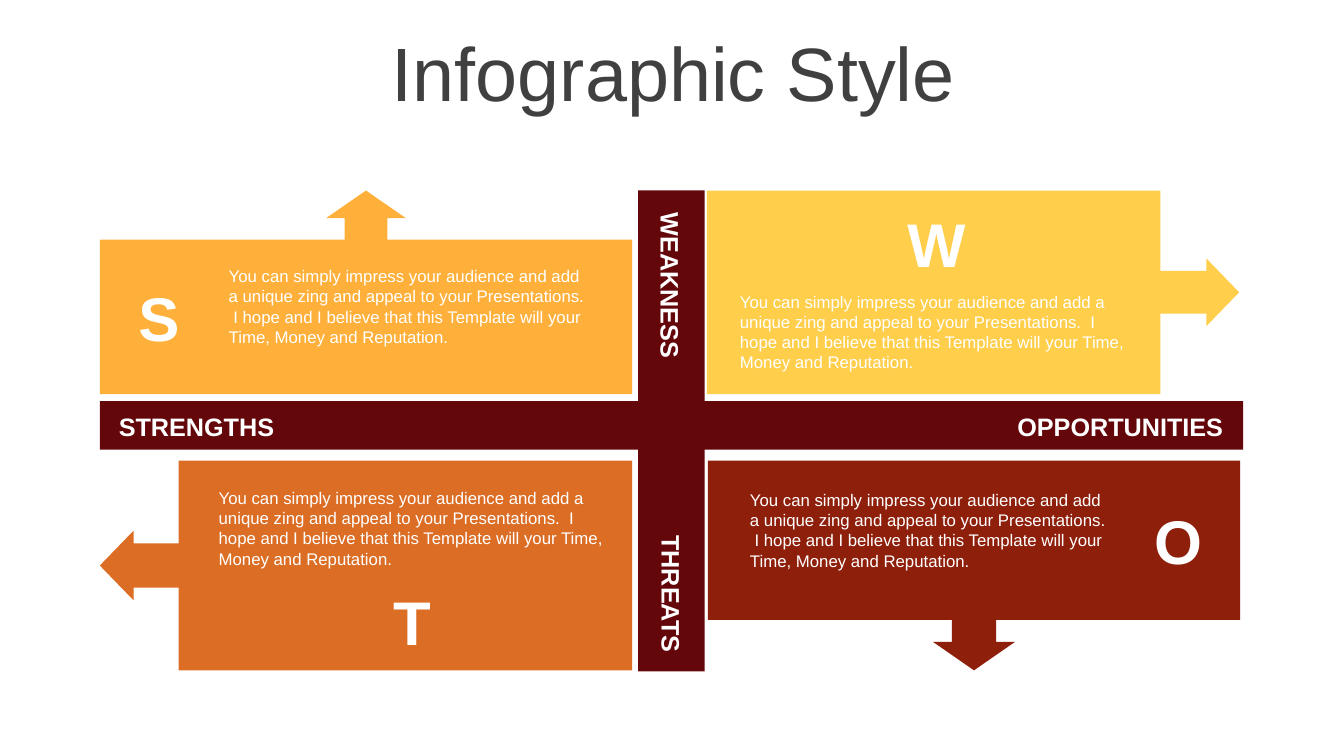
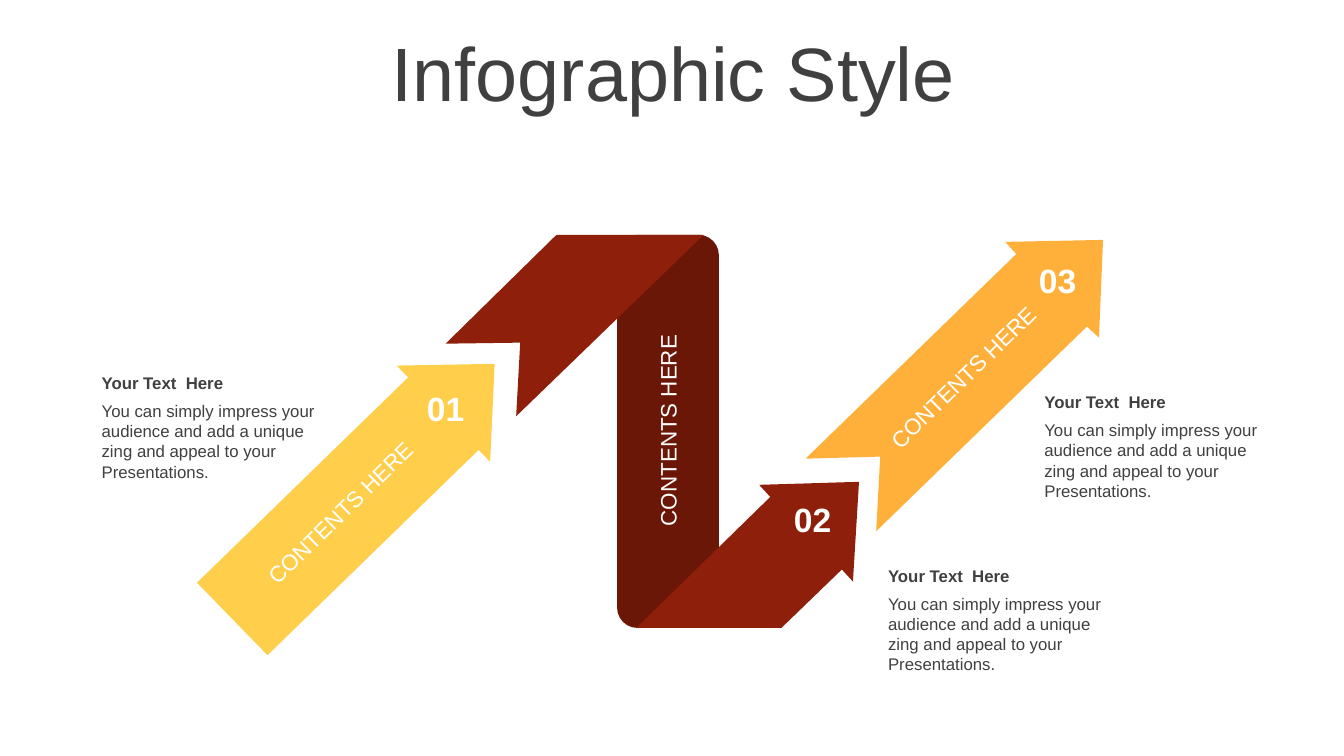
from pptx import Presentation
from pptx.dml.color import RGBColor
from pptx.enum import shapes, text
from pptx.util import Inches, Pt

FONT = "Arial"
WHITE, INK = "FFFFFF", "404040"
AMBER, YELLOW, ORANGE, BRICK = "FFB03B", "FFCE4B", "DB6D25", "8E1F0B"
BAR, FOLD = "63070A", "6A1708"
SHAPE, ALIGN, ANCHOR = shapes.MSO_SHAPE, text.PP_ALIGN, text.MSO_ANCHOR

TITLE = "Infographic Style"
TITLE_BOX = (0.35, 0.37, 12.66, 0.79)

# Slide 1: SWOT cross
PITCH = ("You can simply impress your audience and add a unique zing and appeal to your "
         "Presentations.  I hope and I believe that this Template will your Time, "
         "Money and Reputation.")
TALL_CALLOUT = (0.21, 0.196, 0.136, 0.759)
WIDE_CALLOUT = (0.21, 0.166, 0.161, 0.852)
# letter, colour, callout box, rotation, adjustments, letter corner, pitch box
QUADRANTS = [
    ("S", AMBER, (0.99, 1.89, 5.28, 2.02), 0, TALL_CALLOUT, (1.23, 2.73), (2.17, 2.59, 3.74, 0.91)),
    ("W", YELLOW, (8.64, 0.26, 2.02, 5.28), 90, WIDE_CALLOUT, (8.9, 1.99), (7.24, 2.84, 4.02, 0.91)),
    ("O", BRICK, (7.02, 4.57, 5.28, 2.08), 180, TALL_CALLOUT, (11.34, 4.94), (7.34, 4.81, 3.74, 0.91)),
    ("T", ORANGE, (2.59, 2.97, 2.08, 5.28), 270, WIDE_CALLOUT, (3.74, 5.74), (2.07, 4.79, 4.02, 0.91)),
]
CROSS_BARS = [(6.33, 1.89, 0.66, 4.77), (0.99, 3.98, 11.34, 0.48)]
BAR_LABELS = [
    ("STRENGTHS", (1.08, 4.03, 2.05, 0.4), 0, ALIGN.LEFT),
    ("WEAKNESS", (5.7, 2.76, 1.9, 0.4), 90, ALIGN.LEFT),
    ("OPPORTUNITIES", (9.65, 4.03, 2.58, 0.4), 0, ALIGN.RIGHT),
    ("THREATS", (5.81, 5.52, 1.7, 0.4), 90, ALIGN.RIGHT),
]

# Slide 2: folded ribbon with three arrows
SLANT = 45.8
RIBBON_TAIL = [(5.52, 2.33), (6.98, 2.33), (5.12, 4.13), (5.16, 3.4), (4.42, 3.41)]
RIBBON_HEAD = [(8.52, 4.78), (8.46, 5.77), (8.35, 5.65), (7.75, 6.23),
               (6.31, 6.23), (7.64, 4.93), (7.53, 4.81)]
LAST_ARROW = [(10.94, 2.38), (10.9, 3.35), (10.78, 3.24), (8.69, 5.27),
              (8.73, 4.53), (7.99, 4.55), (10.08, 2.52), (9.97, 2.4)]
STEP_NUMBERS = [("01", 3.99, 3.8), ("02", 7.63, 4.9), ("03", 10.06, 2.53)]
ARROW_CAPTION = "CONTENTS HERE"
CAPTION_BOXES = [((2.05, 5.01, 2.41, 0.37), 315.7),
                 ((8.29, 3.64, 2.34, 0.37), 315.7),
                 ((5.45, 4.21, 2.34, 0.37), 270)]
NOTE = ("Your Text  Here",
        "You can simply impress your audience and add a unique zing and appeal to your "
        "Presentations.")
NOTE_CORNERS = [(0.91, 3.65), (8.71, 5.56), (10.26, 3.84)]


def rgb(color):
    return RGBColor.from_string(color)


def inches(box):
    return [Inches(value) for value in box]


def format_paragraph(paragraph, size, color, bold=False, align=ALIGN.LEFT):
    paragraph.alignment = align
    for run in paragraph.runs:
        font = run.font
        font.name, font.size, font.bold = FONT, Pt(size), bold
        font.color.rgb = rgb(color)


def paint(shape, color):
    """Flat fill, no outline, no shadow."""
    shape.shadow.inherit = False
    shape.fill.solid()
    shape.fill.fore_color.rgb = rgb(color)
    shape.line.fill.background()


def add_block(slide, kind, box, color, rotation=0, adjustments=()):
    block = slide.shapes.add_shape(kind, *inches(box))
    block.rotation = rotation
    for index, value in enumerate(adjustments):
        block.adjustments[index] = value
    paint(block, color)


def add_outline(slide, points, color):
    corners = [inches(point) for point in points]
    builder = slide.shapes.build_freeform(*corners[0])
    builder.add_line_segments(corners[1:], close=True)
    paint(builder.convert_to_shape(), color)


def add_label(slide, words, box, size, color=WHITE, bold=False, align=ALIGN.LEFT,
              rotation=0, anchor=ANCHOR.TOP):
    label = slide.shapes.add_textbox(*inches(box))
    label.rotation = rotation
    frame = label.text_frame
    frame.word_wrap = True
    frame.vertical_anchor = anchor
    frame.text = words
    format_paragraph(frame.paragraphs[0], size, color, bold, align)
    return frame


def add_titled_slide(prs, layout):
    slide = prs.slides.add_slide(layout)
    heading = slide.shapes.title.text_frame
    heading.text = TITLE
    heading.paragraphs[0].line_spacing = 0.9
    format_paragraph(heading.paragraphs[0], 54, INK, align=ALIGN.CENTER)
    return slide


def prepare_layout(prs):
    """Place the title once, on the title-only layout."""
    layout = prs.slide_layouts[5]
    title = layout.placeholders[0]
    title.left, title.top, title.width, title.height = inches(TITLE_BOX)
    title.text_frame.vertical_anchor = ANCHOR.MIDDLE
    title.text_frame.auto_size = text.MSO_AUTO_SIZE.NONE
    return layout


def build_swot(slide):
    for _, color, box, rotation, adjustments, _, _ in QUADRANTS:
        add_block(slide, SHAPE.UP_ARROW_CALLOUT, box, color, rotation, adjustments)
    for box in CROSS_BARS:
        add_block(slide, SHAPE.RECTANGLE, box, BAR)
    for words, box, rotation, align in BAR_LABELS:
        add_label(slide, words, box, 18, bold=True, align=align, rotation=rotation)
    for letter, _, _, _, _, corner, pitch_box in QUADRANTS:
        add_label(slide, PITCH, pitch_box, 12)
        add_label(slide, letter, (*corner, 0.69, 0.84), 44, bold=True, align=ALIGN.CENTER)


def build_ribbon(slide):
    add_block(slide, SHAPE.ROUNDED_RECTANGLE, (6.12, 2.33, 1.01, 3.9), FOLD, adjustments=(0.2,))
    add_outline(slide, RIBBON_TAIL, BRICK)
    add_outline(slide, RIBBON_HEAD, BRICK)
    add_block(slide, SHAPE.UP_ARROW, (2.94, 3.06, 1.33, 3.63), YELLOW, SLANT, (0.754, 0.533))
    add_outline(slide, LAST_ARROW, AMBER)
    for number, left, top in STEP_NUMBERS:
        add_label(slide, number, (left, top, 0.86, 0.5), 24, bold=True,
                  align=ALIGN.CENTER, anchor=ANCHOR.BOTTOM)
    for box, rotation in CAPTION_BOXES:
        add_label(slide, ARROW_CAPTION, box, 16, align=ALIGN.RIGHT,
                  rotation=rotation, anchor=ANCHOR.BOTTOM)
    heading, details = NOTE
    for corner in NOTE_CORNERS:
        frame = add_label(slide, heading, (*corner, 2.46, 1.18), 12, INK, bold=True)
        paragraph = frame.add_paragraph()
        paragraph.text = details
        paragraph.space_before = Pt(5.5)
        format_paragraph(paragraph, 12, INK)


def main():
    prs = Presentation()
    prs.slide_width, prs.slide_height = Inches(13.33), Inches(7.5)
    layout = prepare_layout(prs)
    for build in (build_swot, build_ribbon):
        build(add_titled_slide(prs, layout))
    prs.save("out.pptx")


if __name__ == "__main__":
    main()
